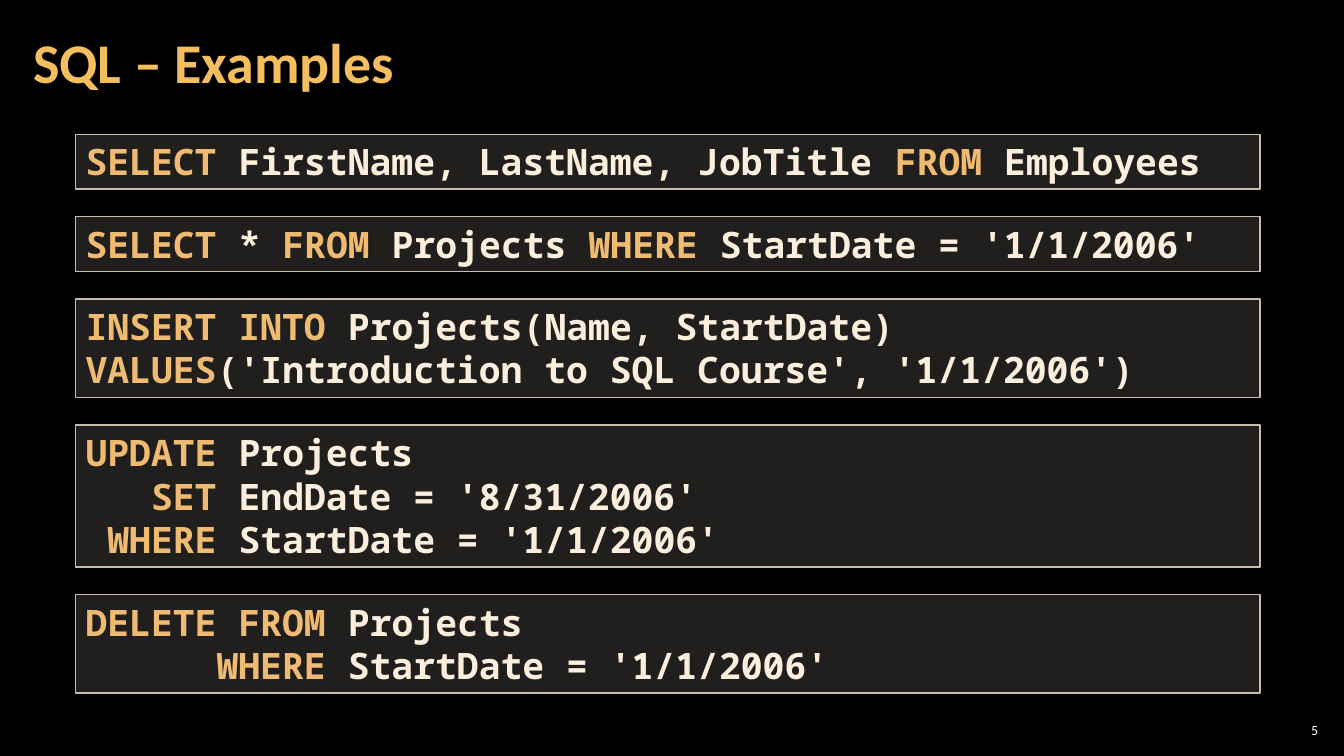
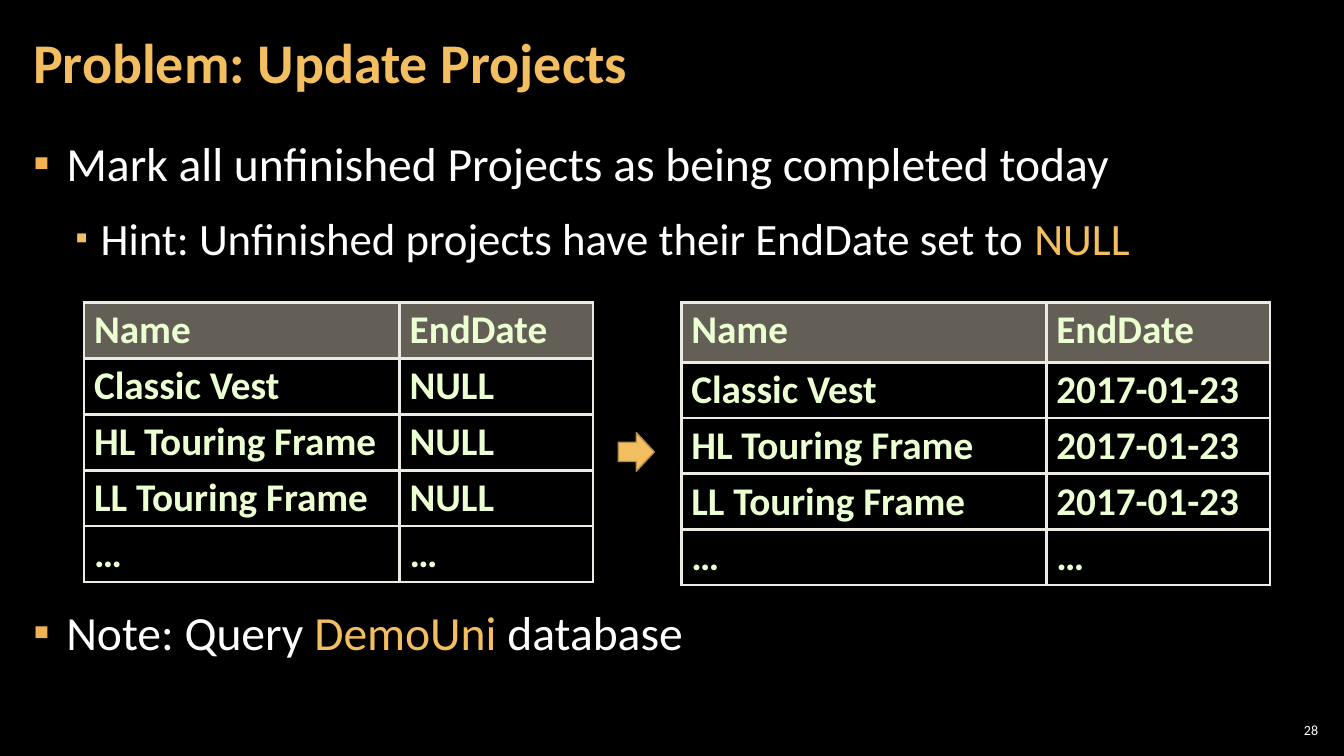
from collections import namedtuple
from dataclasses import dataclass

from lxml.etree import SubElement as Sub
from pptx import Presentation
from pptx.dml.color import RGBColor as RGB
from pptx.enum.shapes import MSO_SHAPE as Shape
from pptx.enum.text import MSO_ANCHOR as Anchor, MSO_AUTO_SIZE as Auto, PP_ALIGN as Align
from pptx.oxml.ns import qn
from pptx.util import Inches, Pt

Box = namedtuple("Box", "x y w h")  # in grid cells
COLS, ROWS, CELL = 160, 90, 1 / 12  # 160 x 90 cells of 1/12 inch


@dataclass(frozen=True)
class Theme:
    back: str = "000000"
    text: str = "FFFFFF"
    gold: str = "F3BE60"
    edge: str = "B48D47"
    mark: str = "F2B254"
    panel: str = "D9D5C7"
    frame: str = "C7BFAC"
    key: str = "EFBB72"
    code: str = "FBEEDC"
    cell: str = "EBFFD2"
    rule: str = "ECEAE3"
    sans: str = "Calibri"
    mono: str = "Noto Sans Mono"
    title_pt: int = 40
    list_pt: tuple = (34, 32)
    code_pt: int = 26
    cell_pt: int = 28
    page_pt: int = 10


T = Theme()
TITLE = Box(2.5, 0.5, 125.6, 14.5)
BODY = Box(2.5, 15.1, 155, 73)
PAGE = Box(151.8, 85.7, 5.6, 2.5)


# Shared helpers
def unit(n):
    return Inches(n * CELL)


def put(item, **vals):
    for name, val in vals.items():
        setattr(item, name, val)


def place(shape, box):
    put(shape, left=unit(box.x), top=unit(box.y), width=unit(box.w), height=unit(box.h))


def paint(fill, color, alpha=None):
    fill.solid()
    fill.fore_color.rgb = RGB.from_string(color)
    if alpha:
        clr = fill._xPr.find(qn("a:solidFill"))[0]
        Sub(clr, qn("a:alpha"), val=str(alpha * 1000))


def write(para, text, size, colors, face=T.sans, bold=False):
    """Parts between ~ marks take the second colour."""
    for i, part in enumerate(text.split("~")):
        if part:
            run = para.add_run()
            run.text = part
            put(run.font, size=Pt(size), name=face, bold=bold)
            run.font.color.rgb = RGB.from_string(colors[i % 2])


def setup(frame, side=0.1, edge=0.05, anchor=Anchor.TOP):
    put(frame, word_wrap=True, auto_size=Auto.NONE, vertical_anchor=anchor,
        margin_left=Inches(side), margin_right=Inches(side),
        margin_top=Inches(edge), margin_bottom=Inches(edge))


def indent(para, left, first=0):
    props = para._p.get_or_add_pPr()
    props.set("marL", str(Inches(left)))
    props.set("indent", str(Inches(first)))
    return props


def paras(frame, count):
    return [frame.paragraphs[0]] + [frame.add_paragraph() for _ in range(count - 1)]


# Title and page number
def start(deck, layout, title, page):
    slide = deck.slides.add_slide(deck.slide_layouts[layout])
    head = slide.shapes.title
    place(head, TITLE)
    setup(head.text_frame, 0.12, 0.04, Anchor.MIDDLE)
    para = head.text_frame.paragraphs[0]
    put(para, alignment=Align.LEFT, line_spacing=0.9)
    write(para, title, T.title_pt, [T.gold], bold=True)

    note = slide.shapes.add_textbox(0, 0, 0, 0)
    place(note, PAGE)
    setup(note.text_frame, 0.04, 0.04, Anchor.MIDDLE)
    para = note.text_frame.paragraphs[0]
    para.alignment = Align.RIGHT
    write(para, page, T.page_pt, [T.text])
    return slide


# Filled shape with a thin outline
def solid(slide, kind, box, fill, line, alpha=None):
    shape = slide.shapes.add_shape(kind, 0, 0, 0, 0)
    place(shape, box)
    shape.shadow.inherit = False
    paint(shape.fill, fill, alpha)
    paint(shape.line.fill, line)
    shape.line.width = Pt(1)
    return shape


# Stack of code panels; each line is (indent in letters, text)
def stack(slide, box, panels, first=6.5, step=5.2, gap=3.3):
    letter = 0.6 * T.code_pt / 72
    top = box.y
    for lines in panels:
        high = first + step * (len(lines) - 1)
        panel = solid(slide, Shape.RECTANGLE, Box(box.x, top, box.w, high),
                      T.panel, T.frame, 15)
        setup(panel.text_frame)
        for para, (pad, text) in zip(paras(panel.text_frame, len(lines)), lines):
            para.alignment = Align.LEFT
            indent(para, pad * letter)
            write(para, text, T.code_pt, [T.code, T.key], T.mono, True)
        top += high + gap


# Bullet list; each item is (level, space before, text)
def bullets(slide, box, items):
    body = slide.placeholders[1]
    place(body, box)
    setup(body.text_frame, 0.12, 0.04)
    looks = [(0.33, -0.33, T.mark, 100), (0.67, -0.25, T.gold, 80)]
    for para, (level, before, text) in zip(paras(body.text_frame, len(items)), items):
        left, first, color, share = looks[level]
        put(para, level=level, alignment=Align.LEFT, line_spacing=1.05,
            space_before=Pt(before), space_after=Pt(6))
        props = indent(para, left, first)
        Sub(Sub(props, qn("a:buClr")), qn("a:srgbClr"), val=color)
        Sub(props, qn("a:buSzPct"), val=str(share * 1000))
        Sub(props, qn("a:buChar"), char="▪")
        write(para, text, T.list_pt[level], [T.text, T.gold])


# Ruled table; head is the first row's share of the height
def grid(slide, box, rows, head, split=(0.62, 0.38)):
    table = slide.shapes.add_table(len(rows), len(split), unit(box.x), unit(box.y),
                                   unit(box.w), unit(box.h)).table
    put(table, first_row=False, horz_banding=False)
    for col, share in zip(table.columns, split):
        col.width = unit(box.w * share)
    rest = (1 - head) / (len(rows) - 1)
    for r, row in enumerate(rows):
        table.rows[r].height = unit(box.h * (rest if r else head))
        for c, text in enumerate(row):
            cell = table.cell(r, c)
            props = cell._tc.get_or_add_tcPr()
            for side in "LRTB":
                line = Sub(props, qn("a:ln" + side), w=str(Pt(2.25)))
                Sub(Sub(line, qn("a:solidFill")), qn("a:srgbClr"), val=T.rule)
            if r:
                cell.fill.background()
            else:
                paint(cell.fill, T.frame, 50)
            para = cell.text_frame.paragraphs[0]
            para.line_spacing = 0.95
            write(para, text, T.cell_pt, [T.cell], bold=True)


# Slides
def samples(deck):
    slide = start(deck, 5, "SQL – Examples", "5")
    stack(slide, Box(9, 16, 141, 66.5), [
        [(0, "~SELECT~ FirstName, LastName, JobTitle ~FROM~ Employees")],
        [(0, "~SELECT~ * ~FROM~ Projects ~WHERE~ StartDate = '1/1/2006'")],
        [(0, "~INSERT INTO~ Projects(Name, StartDate)"),
         (0, "~VALUES~('Introduction to SQL Course', '1/1/2006')")],
        [(0, "~UPDATE~ Projects"),
         (3, "~SET~ EndDate = '8/31/2006'"),
         (1, "~WHERE~ StartDate = '1/1/2006'")],
        [(0, "~DELETE FROM~ Projects"),
         (6, "~WHERE~ StartDate = '1/1/2006'")],
    ])


def problem(deck):
    slide = start(deck, 1, "Problem: Update Projects", "28")
    bullets(slide, BODY, [
        (0, 6, "Mark all unfinished Projects as being completed today"),
        (1, 6, "Hint: Unfinished projects have their EndDate set to ~NULL~"),
        (0, 234, "Note: Query ~DemoUni~ database"),
    ])
    names = ["Classic Vest", "HL Touring Frame", "LL Touring Frame"]
    sides = [(Box(10, 36, 60.6, 33.3), "NULL", 0.2),
             (Box(81.1, 36, 70.1, 32.5), "2017-01-23", 0.22)]
    for box, date, head in sides:
        rows = [("Name", "EndDate"), *((name, date) for name in names), ("…", "…")]
        grid(slide, box, rows, head)
    solid(slide, Shape.RIGHT_ARROW, Box(73.6, 51.5, 4.3, 4.6), T.gold, T.edge)


def main():
    deck = Presentation()
    put(deck, slide_width=unit(COLS), slide_height=unit(ROWS))
    paint(deck.slide_master.background.fill, T.back)
    samples(deck)
    problem(deck)
    deck.save("out.pptx")


if __name__ == "__main__":
    main()
